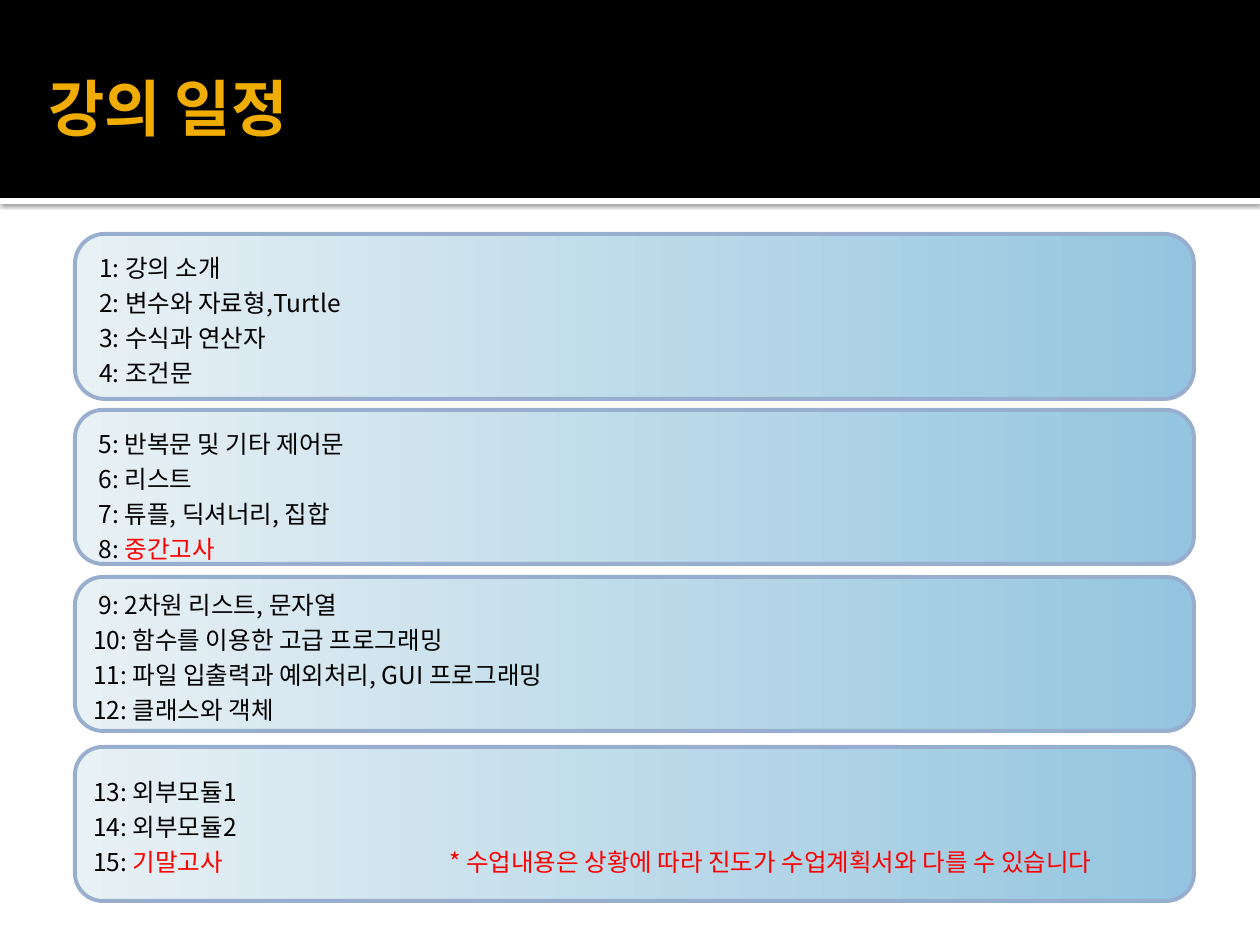
from lxml.etree import SubElement
from pptx import Presentation
from pptx.dml.color import RGBColor
from pptx.enum.shapes import MSO_SHAPE
from pptx.enum.text import MSO_ANCHOR, PP_ALIGN
from pptx.oxml.ns import qn
from pptx.util import Emu, Pt

BLACK = RGBColor(0x00, 0x00, 0x00)
WHITE = RGBColor(0xFF, 0xFF, 0xFF)
GOLD = RGBColor(0xF0, 0xAD, 0x00)
RED = RGBColor(0xFF, 0x00, 0x00)
PALE_BLUE = RGBColor(0xE8, 0xF1, 0xF4)
SKY_BLUE = RGBColor(0x94, 0xC5, 0xE0)
EDGE_BLUE = RGBColor(0x98, 0xAE, 0xCE)

LATIN_TITLE = "Calibri"
KOREAN = "Noto Sans CJK KR"
PX_PER_INCH = 126
NOTE_TAB = 356
CARD_LEFT, CARD_WIDTH = 75, 1119

# Each card: top, height, anchor, top margin, then (week label, topic, colour).
CARDS = [
    (234, 165, MSO_ANCHOR.TOP, 5, [
        (" 1: ", "강의 소개", BLACK),
        (" 2: ", "변수와 자료형,Turtle", BLACK),
        (" 3: ", "수식과 연산자", BLACK),
        (" 4: ", "조건문", BLACK),
    ]),
    (410, 154, MSO_ANCHOR.TOP, 5, [
        (" 5: ", "반복문 및 기타 제어문", BLACK),
        (" 6: ", "리스트", BLACK),
        (" 7: ", "튜플, 딕셔너리, 집합", BLACK),
        (" 8: ", "중간고사", RED),
    ]),
    (577, 154, MSO_ANCHOR.MIDDLE, 1, [
        (" 9: ", "2차원 리스트, 문자열", BLACK),
        ("10: ", "함수를 이용한 고급 프로그래밍", BLACK),
        ("11: ", "파일 입출력과 예외처리, GUI 프로그래밍", BLACK),
        ("12: ", "클래스와 객체", BLACK),
    ]),
    (747, 154, MSO_ANCHOR.MIDDLE, 1, [
        ("13: ", "외부모듈1", BLACK),
        ("14: ", "외부모듈2", BLACK),
        ("15: ", "기말고사\t* 수업내용은 상황에 따라 진도가 수업계획서와 다를 수 있습니다", RED),
    ]),
]


def px(length):
    return Emu(round(length * 914400 / PX_PER_INCH))


class SlideBuilder:
    def __init__(self, page):
        self.page = page

    def place(self, shape, left, top, width, height):
        shape.left, shape.top = px(left), px(top)
        shape.width, shape.height = px(width), px(height)

    def set_margins(self, frame, left, top, right, bottom):
        frame.margin_left, frame.margin_top = px(left), px(top)
        frame.margin_right, frame.margin_bottom = px(right), px(bottom)

    def style_span(self, span, size, color, latin=KOREAN, bold=False):
        span.font.name = latin
        span.font.size = Pt(size)
        span.font.bold = bold
        span.font.color.rgb = color
        SubElement(span.font._element, qn("a:ea"), typeface=KOREAN)

    def bar(self, top, height, color):
        shape = self.page.shapes.add_shape(
            MSO_SHAPE.RECTANGLE, 0, px(top), px(1260), px(height))
        shape.shadow.inherit = False
        shape.fill.solid()
        shape.fill.fore_color.rgb = color
        shape.line.fill.background()
        return shape

    def drop_shadow(self, shape):
        effects = shape._element.spPr.find(qn("a:effectLst"))
        shadow = SubElement(effects, qn("a:outerShdw"), blurRad=str(Pt(2.5)),
                            dist=str(Pt(0.8)), dir="5400000", algn="tl", rotWithShape="0")
        color = SubElement(shadow, qn("a:srgbClr"), val=str(BLACK))
        SubElement(color, qn("a:alpha"), val="60000")

    def title(self, text):
        shape = self.page.shapes.title
        self.page.shapes.element.append(shape._element)  # in front of the header bar
        self.place(shape, 35, 21, 1162, 173)
        frame = shape.text_frame
        frame.text = text
        frame.vertical_anchor = MSO_ANCHOR.MIDDLE
        self.set_margins(frame, 13, 6, 6, 6)
        para = frame.paragraphs[0]
        para.alignment = PP_ALIGN.LEFT
        self.style_span(para.runs[0], 35, GOLD, LATIN_TITLE, bold=True)

    def card(self, top, height, anchor, top_margin, weeks):
        shape = self.page.shapes.add_shape(
            MSO_SHAPE.ROUNDED_RECTANGLE,
            px(CARD_LEFT), px(top), px(CARD_WIDTH), px(height))
        shape.shadow.inherit = False
        shape.adjustments[0] = 0.18
        shape.fill.gradient()
        shape.fill.gradient_angle = 0
        for stop, color in zip(shape.fill.gradient_stops, (PALE_BLUE, SKY_BLUE)):
            stop.color.rgb = color
        shape.line.color.rgb = EDGE_BLUE
        shape.line.width = Pt(2.25)

        frame = shape.text_frame
        frame.word_wrap = True
        frame.vertical_anchor = anchor
        self.set_margins(frame, 10, top_margin, 13, 1)
        for index, week in enumerate(weeks):
            para = frame.add_paragraph() if index else frame.paragraphs[0]
            self.week_line(para, *week)

    def week_line(self, para, label, topic, color):
        para.alignment = PP_ALIGN.LEFT
        para.line_spacing = Pt(20)
        if "\t" in topic:
            tabs = SubElement(para._p.get_or_add_pPr(), qn("a:tabLst"))
            SubElement(tabs, qn("a:tab"), pos=str(px(NOTE_TAB)), algn="l")
        for text, text_color in ((label, BLACK), (topic, color)):
            span = para.add_run()
            span.text = text
            self.style_span(span, 14, text_color)


def main():
    deck = Presentation()
    deck.slide_width, deck.slide_height = px(1260), px(945)
    builder = SlideBuilder(deck.slides.add_slide(deck.slide_layouts[5]))
    builder.drop_shadow(builder.bar(198, 6, WHITE))
    builder.bar(0, 198, BLACK)
    builder.title("강의 일정")
    for card in CARDS:
        builder.card(*card)
    deck.save("out.pptx")


if __name__ == "__main__":
    main()
